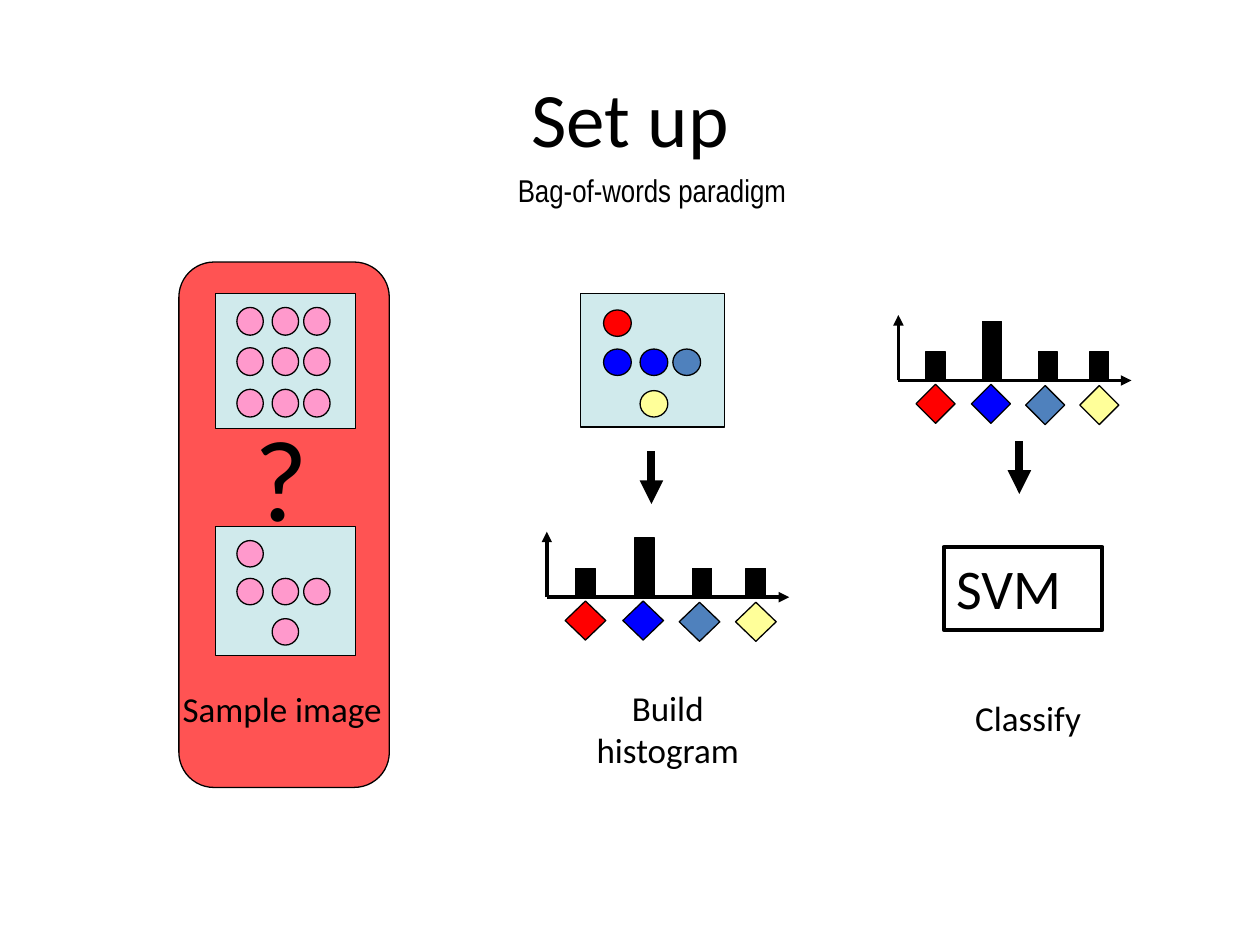
from lxml import etree
from pptx import Presentation
from pptx.dml.color import RGBColor
from pptx.enum import shapes, text
from pptx.oxml import ns
from pptx.util import Inches, Pt

BLACK = RGBColor(0x00, 0x00, 0x00)
RED = RGBColor(0xFF, 0x00, 0x00)
BLUE = RGBColor(0x00, 0x00, 0xFF)
STEEL = RGBColor(0x4F, 0x81, 0xBD)
YELLOW = RGBColor(0xFF, 0xFF, 0x99)
PINK = RGBColor(0xFF, 0x99, 0xCC)
PALE = RGBColor(0xD0, 0xEA, 0xEC)
CORAL = RGBColor(0xFF, 0x53, 0x53)

SHAPE = shapes.MSO_SHAPE
CENTER = text.PP_ALIGN.CENTER
LEFT = text.PP_ALIGN.LEFT

WORD_COLORS = (RED, BLUE, STEEL, YELLOW)
BAR_HEIGHTS = (0.23, 0.47, 0.23, 0.23)
BAR_OFFSETS = (0.22, 0.67, 1.11, 1.52)
DIAMOND_OFFSETS = (0.14, 0.58, 1.01, 1.44)
DIAMOND_DROPS = (0.03, 0.03, 0.04, 0.04)
FULL_GRID = [(column, row, PINK) for row in range(3) for column in range(3)]
WORD_DOTS = [(0, 0, RED), (0, 1, BLUE), (1, 1, BLUE), (2, 1, STEEL), (1, 2, YELLOW)]
PLAIN_DOTS = [(column, row, PINK) for column, row, color in WORD_DOTS]


def add_text(page, words, left, top, width, height, size,
             font="Calibri", align=CENTER, anchor=text.MSO_ANCHOR.TOP):
    """Add a one-paragraph text box and return it."""
    box = page.shapes.add_textbox(Inches(left), Inches(top), Inches(width), Inches(height))
    box.text_frame.word_wrap = True
    box.text_frame.vertical_anchor = anchor
    para = box.text_frame.paragraphs[0]
    para.alignment = align
    span = para.add_run()
    span.text = words
    span.font.size = Pt(size)
    span.font.name = font
    span.font.color.rgb = BLACK
    return box


def add_figure(page, kind, left, top, width, height, color):
    """Add a filled shape with a thin black outline."""
    figure = page.shapes.add_shape(
        kind, Inches(left), Inches(top), Inches(width), Inches(height))
    figure.shadow.inherit = False
    figure.fill.solid()
    figure.fill.fore_color.rgb = color
    figure.line.color.rgb = BLACK
    figure.line.width = Pt(0.75)


def add_arrow(page, start, end, weight):
    """Add a straight black arrow between two points."""
    arrow = page.shapes.add_connector(
        shapes.MSO_CONNECTOR.STRAIGHT, *[Inches(value) for value in start + end])
    arrow.line.color.rgb = BLACK
    arrow.line.width = Pt(weight)
    etree.SubElement(arrow.line._get_or_add_ln(), ns.qn("a:tailEnd"), type="triangle")
    etree.SubElement(arrow._element.spPr, ns.qn("a:effectLst"))


def add_panel(page, left, top, width, height, columns, rows, dots, dot_size):
    """Add an image panel with dots placed on a grid of offsets."""
    add_figure(page, SHAPE.RECTANGLE, left, top, width, height, PALE)
    for column, row, color in dots:
        add_figure(page, SHAPE.OVAL, left + columns[column], top + rows[row],
                   *dot_size, color)


def add_histogram(page, left, base, scale=1.0):
    """Add axes, bars and diamond labels, stretched sideways by scale."""
    add_arrow(page, (left, base), (left + 1.85 * scale, base), 2)
    add_arrow(page, (left, base), (left, base - 0.52), 2)
    for offset, drop, color in zip(DIAMOND_OFFSETS, DIAMOND_DROPS, WORD_COLORS):
        add_figure(page, SHAPE.DIAMOND, left + offset * scale, base + drop,
                   0.31 * scale, 0.31, color)
    for offset, height in zip(BAR_OFFSETS, BAR_HEIGHTS):
        add_figure(page, SHAPE.RECTANGLE, left + offset * scale, base - height,
                   0.15 * scale, height, BLACK)


def add_classify(page):
    """Add the column that feeds a histogram to a classifier."""
    add_text(page, "Classify", 7.26, 5.48, 1.8, 0.43, 20)
    classifier = add_text(page, "SVM", 7.49, 4.34, 1.26, 0.66, 32, align=LEFT)
    classifier.line.color.rgb = BLACK
    classifier.line.width = Pt(2.25)
    add_histogram(page, 7.13, 3.02)
    add_arrow(page, (8.09, 3.5), (8.09, 3.92), 4.5)


def add_build(page):
    """Add the column that turns visual words into a histogram."""
    add_panel(page, 4.61, 2.33, 1.14, 1.06, (0.18, 0.47, 0.73),
              (0.13, 0.44, 0.77), WORD_DOTS, (0.22, 0.21))
    add_histogram(page, 4.34, 4.74, 1.04)
    add_text(page, "Build histogram", 4.45, 5.4, 1.7, 0.77, 20)
    add_arrow(page, (5.17, 3.58), (5.17, 4.0), 4.5)


def add_sample(page):
    """Add the highlighted column about sampling the image."""
    columns = (0.17, 0.45, 0.7)
    add_figure(page, SHAPE.ROUNDED_RECTANGLE, 1.42, 2.08, 1.67, 4.17, CORAL)
    add_text(page, "?", 1.92, 3.17, 0.67, 1.2, 66, align=LEFT)
    add_panel(page, 1.71, 2.33, 1.11, 1.07, columns, (0.11, 0.43, 0.76),
              FULL_GRID, (0.21, 0.22))
    add_panel(page, 1.71, 4.18, 1.11, 1.02, columns, (0.11, 0.41, 0.73),
              PLAIN_DOTS, (0.21, 0.21))
    add_text(page, "Sample image", 1.34, 5.41, 1.8, 0.77, 20)


def main():
    """Build the slide and save it."""
    deck = Presentation()
    deck.slide_width = Inches(10)
    deck.slide_height = Inches(7.5)
    page = deck.slides.add_slide(deck.slide_layouts[6])
    add_text(page, "Set up", 0.5, 0.3, 9, 1.25, 44, anchor=text.MSO_ANCHOR.MIDDLE)
    add_text(page, "Bag-of-words paradigm", 1.44, 1.31, 7.47, 0.5, 18, "Arial Narrow")
    add_classify(page)
    add_build(page)
    add_sample(page)
    deck.save("out.pptx")


if __name__ == "__main__":
    main()
